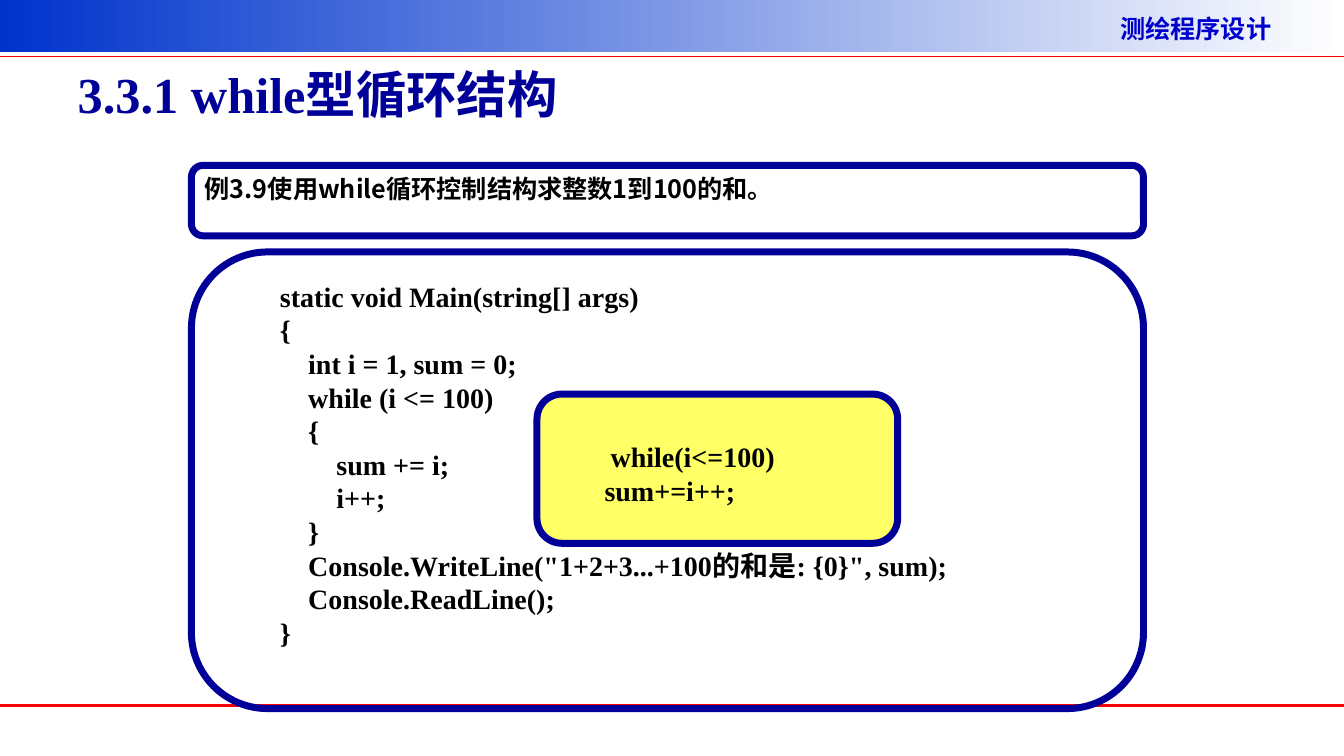
"""Slide on the while loop: a course banner, an example task and its code."""
from lxml import etree
from pptx import Presentation, util as u
from pptx.dml.color import RGBColor
from pptx.enum import shapes, text
from pptx.oxml.ns import qn

INK = {"navy": "000099", "blue": "0033CC", "label": "0000CC", "white": "FFFFFF",
       "red": "FF0000", "black": "000000", "yellow": "FFFF66"}
SERIF, SANS = "Times New Roman", "Noto Sans CJK SC"
STEP = 0.28
WIDE, HIGH = 13.34, 7.5


def rgb(name):
    return RGBColor.from_string(INK[name])


def write(shape, rows, face, size, ink="black", **frame):
    """Fill a shape with (indent, words) rows in one bold style."""
    body = shape.text_frame
    form = dict(word_wrap=True, auto_size=text.MSO_AUTO_SIZE.NONE,
                vertical_anchor=text.MSO_ANCHOR.TOP)
    for key, value in {**form, **frame}.items():
        setattr(body, key, value)
    for n, (indent, words) in enumerate(rows):
        para = body.add_paragraph() if n else body.paragraphs[0]
        para.alignment = text.PP_ALIGN.LEFT
        para._p.get_or_add_pPr().set("marL", str(u.Inches(indent)))
        run = para.add_run()
        run.text = words
        style = dict(name=face, size=u.Pt(size), bold=True)
        for key, value in style.items():
            setattr(run.font, key, value)
        run.font.color.rgb = rgb(ink)
        east = etree.SubElement(run._r.get_or_add_rPr(), qn("a:ea"))
        east.set("typeface", SANS)


deck = Presentation()
deck.slide_width, deck.slide_height = u.Inches(WIDE), u.Inches(HIGH)
slide = deck.slides.add_slide(deck.slide_layouts[5])
pool = slide.shapes

title = pool.title
place = dict(left=0.67, top=0.3, width=12, height=1.25)
for key, value in place.items():
    setattr(title, key, u.Inches(value))
write(title, [(0, "3.3.1 while型循环结构")], SERIF, 36, "navy",
      vertical_anchor=text.MSO_ANCHOR.MIDDLE)

band = pool.add_shape(shapes.MSO_SHAPE.RECTANGLE, 0, 0, u.Inches(WIDE), u.Inches(0.52))
band.shadow.inherit = False
band.line.fill.background()
band.fill.gradient()
band.fill.gradient_angle = 0
for stop, ink, spot in zip(band.fill.gradient_stops, ("blue", "white"), (0, 1)):
    stop.color.rgb, stop.position = rgb(ink), spot

label = pool.add_textbox(*map(u.Inches, (11.02, 0.08, 2.3, 0.4)))
write(label, [(0, "测绘程序设计")], SANS, 18, "label")

for y, weight in ((0.56, 1), (7, 2.25)):
    rule = pool.add_connector(shapes.MSO_CONNECTOR.STRAIGHT, 0, u.Inches(y),
                              u.Inches(WIDE), u.Inches(y))
    rule.line.color.rgb, rule.line.width = rgb("red"), u.Pt(weight)
    etree.SubElement(rule._element.spPr, qn("a:effectLst"))

task = [(0, "例3.9使用while循环控制结构求整数1到100的和。")]
code = [(STEP * level, words) for level, words in (
    (2, "static void Main(string[] args)"),
    (2, "{"),
    (3, "int i = 1, sum = 0;"),
    (3, "while (i <= 100)"),
    (3, "{"),
    (4, "sum += i;"),
    (4, "i++;"),
    (3, "}"),
    (3, 'Console.WriteLine("1+2+3...+100的和是: {0}", sum);'),
    (3, "Console.ReadLine();"),
    (2, "}"))]
short = [(2 * STEP, "while(i<=100)"), (0.5, "sum+=i++;")]

for spot, fill, rows, face, size, inset in (
        ((1.9, 1.64, 9.45, 0.7), None, task, SANS, 18, 0.05),
        ((1.9, 2.5, 9.45, 4.53), None, code, SERIF, 20, 0.05),
        ((5.33, 3.91, 3.58, 1.48), "yellow", short, SERIF, 20, 0.38)):
    box = pool.add_shape(shapes.MSO_SHAPE.ROUNDED_RECTANGLE, *map(u.Inches, spot))
    box.shadow.inherit = False
    box.line.color.rgb, box.line.width = rgb("navy"), u.Pt(5)
    if fill:
        box.fill.solid()
        box.fill.fore_color.rgb = rgb(fill)
    else:
        box.fill.background()
    write(box, rows, face, size, margin_top=u.Inches(inset))

deck.save("out.pptx")
